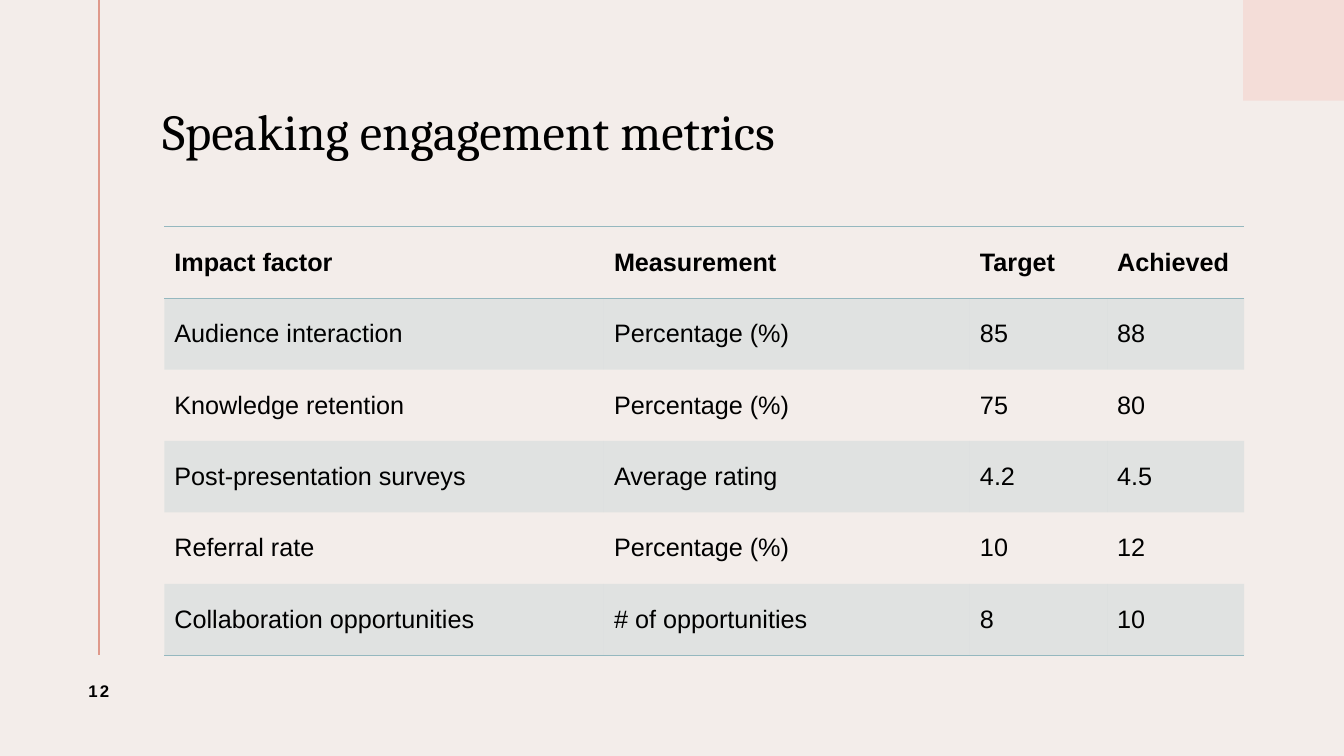
from lxml import etree
from pptx import Presentation
from pptx.dml.color import RGBColor
from pptx.enum import shapes, text
from pptx.oxml import ns
from pptx.util import Inches, Pt

BLACK, TEAL = "000000", "95B8BF"
NO_GRID = "{2D5ABB26-0587-4C30-8999-92F81FD0307C}"
METRICS = [
    ("Impact factor", "Measurement", "Target", "Achieved"),
    ("Audience interaction", "Percentage (%)", "85", "88"),
    ("Knowledge retention", "Percentage (%)", "75", "80"),
    ("Post-presentation surveys", "Average rating", "4.2", "4.5"),
    ("Referral rate", "Percentage (%)", "10", "12"),
    ("Collaboration opportunities", "# of opportunities", "8", "10"),
]
COLUMN_WIDTHS = (4.36, 3.63, 1.36, 1.36)
ROW_HEIGHT = 4.25 / len(METRICS)


def paint(color, value):
    color.rgb = RGBColor.from_string(value)


def style(paragraph, font_name, size, bold=False):
    font = paragraph.font
    font.name, font.size, font.bold = font_name, Pt(size), bold
    paint(font.color, BLACK)


def add_label(slide, words, box, font_name, size, bold=False):
    label = slide.shapes.add_textbox(*map(Inches, box))
    frame = label.text_frame
    frame.word_wrap = True
    frame.vertical_anchor = text.MSO_ANCHOR.MIDDLE
    frame.text = words
    style(frame.paragraphs[0], font_name, size, bold)
    return frame


def add_corner(slide):
    corner = slide.shapes.add_shape(
        shapes.MSO_SHAPE.RECTANGLE, Inches(12.33), 0, Inches(1), Inches(1))
    corner.shadow.inherit = False
    corner.fill.solid()
    paint(corner.fill.fore_color, "F4DDD8")
    corner.line.fill.background()


def add_margin_rule(slide):
    rule = slide.shapes.add_connector(
        shapes.MSO_CONNECTOR.STRAIGHT, Inches(0.98), 0, Inches(0.98), Inches(6.5))
    paint(rule.line.color, "DF998B")
    rule.line.width = Pt(1.5)
    etree.SubElement(rule._element.spPr, ns.qn("a:effectLst"))


def add_border(cell, edge):
    border = etree.Element(ns.qn(f"a:{edge}"), w=str(Pt(1)))
    fill = etree.SubElement(border, ns.qn("a:solidFill"))
    etree.SubElement(fill, ns.qn("a:srgbClr"), val=TEAL)
    cell._tc.get_or_add_tcPr().insert(0, border)


def shade(cell, banded):
    if not banded:
        cell.fill.background()
        return
    cell.fill.solid()
    paint(cell.fill.fore_color, TEAL)
    tint = cell._tc.tcPr.find(".//" + ns.qn("a:srgbClr"))
    etree.SubElement(tint, ns.qn("a:alpha"), val="20000")


def add_metrics(slide):
    table = slide.shapes.add_table(
        len(METRICS), len(COLUMN_WIDTHS),
        Inches(1.63), Inches(2.25), Inches(10.71), Inches(4.25)).table
    table._tbl.tblPr.find(ns.qn("a:tableStyleId")).text = NO_GRID
    table.horz_banding = False
    for column, width in zip(table.columns, COLUMN_WIDTHS):
        column.width = Inches(width)
    for index, (row, values) in enumerate(zip(table.rows, METRICS)):
        row.height = Inches(ROW_HEIGHT)
        header = index == 0
        for cell, value in zip(row.cells, values):
            cell.text = value
            cell.vertical_anchor = text.MSO_ANCHOR.MIDDLE
            style(cell.text_frame.paragraphs[0], "Arial", 18, header)
            shade(cell, index % 2 == 1)
            if header or index == len(METRICS) - 1:
                add_border(cell, "lnB")
            if header:
                add_border(cell, "lnT")


def add_title(slide):
    title = add_label(slide, "Speaking engagement metrics",
                      (1.61, 0.55, 10.73, 1.56), "Cambria", 36)
    title.margin_left = 0
    title.paragraphs[0].line_spacing = 0.9


def add_page_number(slide):
    number = add_label(slide, "12", (0.45, 6.5, 1.06, 0.71), "Arial", 12, True)
    paragraph = number.paragraphs[0]
    paragraph.alignment = text.PP_ALIGN.CENTER
    paragraph.runs[0].font._element.set("spc", "150")


def main():
    deck = Presentation()
    deck.slide_width, deck.slide_height = Inches(13.33), Inches(7.5)
    slide = deck.slides.add_slide(deck.slide_layouts[6])
    slide.background.fill.solid()
    paint(slide.background.fill.fore_color, "F3EDEA")
    add_corner(slide)
    add_margin_rule(slide)
    add_title(slide)
    add_metrics(slide)
    add_page_number(slide)
    deck.save("out.pptx")


if __name__ == "__main__":
    main()
